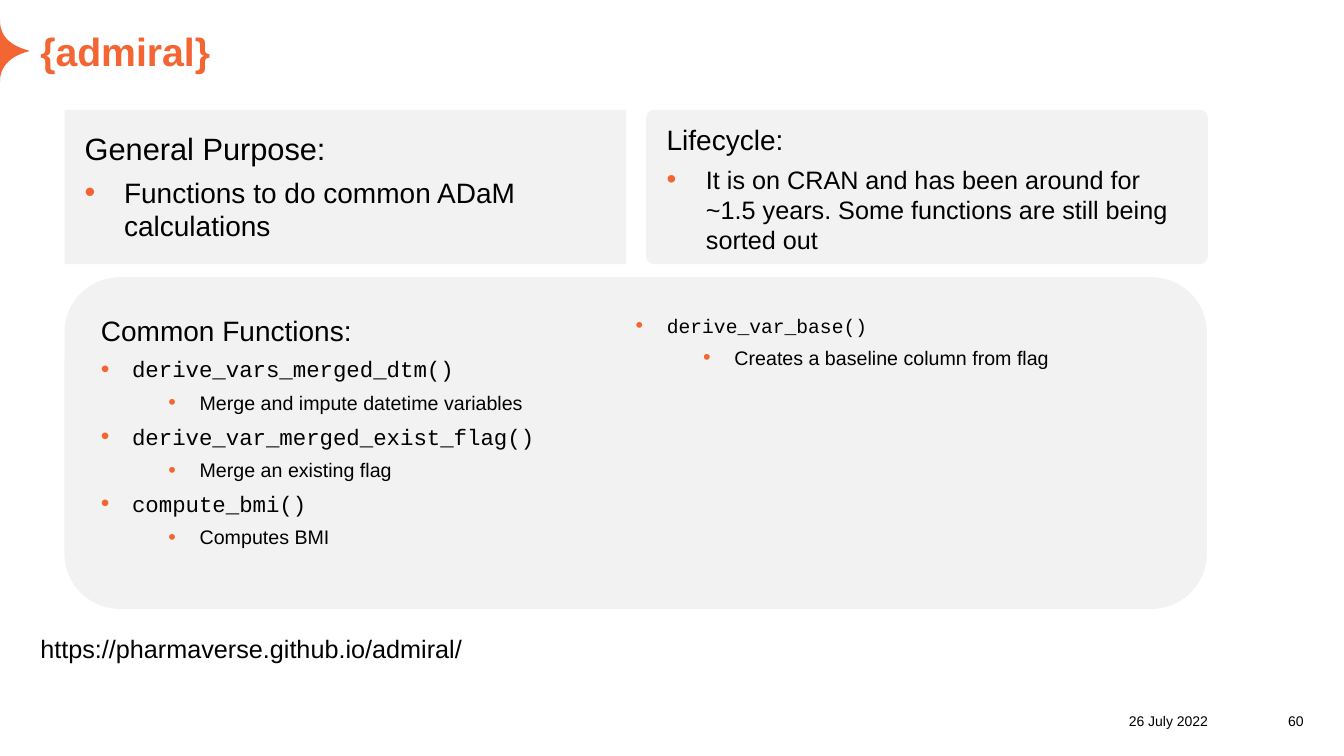
from dataclasses import dataclass

from lxml import etree
from pptx import Presentation
from pptx import util as u
from pptx.dml.color import RGBColor
from pptx.enum import shapes, text
from pptx.oxml import ns

ORANGE = RGBColor(0xF3, 0x66, 0x33)
PANEL_GREY = RGBColor(0xF2, 0xF2, 0xF2)
BLACK = RGBColor(0, 0, 0)
SANS, MONO = "Arial", "Courier New"
LEFT, RIGHT = text.PP_ALIGN.LEFT, text.PP_ALIGN.RIGHT
TOP, BOTTOM = text.MSO_ANCHOR.TOP, text.MSO_ANCHOR.BOTTOM
RECT, ROUND = shapes.MSO_SHAPE.RECTANGLE, shapes.MSO_SHAPE.ROUNDED_RECTANGLE

Box = tuple[float, float, float, float]
Point = tuple[float, float]


@dataclass
class Para:
    text: str
    size: float
    font: str = SANS
    color: RGBColor = BLACK
    bold: bool = False
    align: text.PP_ALIGN = LEFT
    indent: float = 0  # left edge of bulleted text
    hang: float = 0  # room for the bullet
    level: int = 0


@dataclass
class Label:
    box: Box
    para: Para
    pad: float = 0  # top and bottom inset


@dataclass
class Panel:
    box: Box
    shape: shapes.MSO_SHAPE
    insets: Box
    paras: list[Para]
    radius: float | None = None
    columns: int = 1


def code(name: str, size: float = 16) -> Para:
    return Para(name, size, MONO, indent=0.31, hang=0.31)


def detail(words: str) -> Para:
    return Para(words, 14, indent=0.98, hang=0.31, level=1)


LABELS = [
    Label((0.4, 0.27, 12.53, 0.47), Para("{admiral}", 28, color=ORANGE, bold=True)),
    Label((0.4, 6.33, 12.53, 0.33), Para("https://pharmaverse.github.io/admiral/", 18), 0.08),
    Label((8.94, 6.94, 3.04, 0.3), Para("26 July 2022", 10, align=RIGHT)),
    Label((12.34, 6.94, 0.59, 0.3), Para("60", 10, align=RIGHT)),
]

PANELS = [
    Panel((0.64, 1.09, 5.57, 1.53), RECT, (0.2, 0.2, 0.2, 0.2), [
        Para("General Purpose:", 22),
        Para("Functions to do common ADaM calculations", 20, indent=0.39, hang=0.39),
    ]),
    Panel((6.41, 1.09, 5.57, 1.53), ROUND, (0.18, 0.1, 0.18, 0.18), [
        Para("Lifecycle:", 20),
        Para("It is on CRAN and has been around for ~1.5 years. "
             "Some functions are still being sorted out", 18, indent=0.39, hang=0.39),
    ], radius=0.05),
    # The bottom inset makes the last function start the second column
    Panel((0.64, 2.75, 11.33, 3.29), ROUND, (0.2, 0.2, 0.2, 0.3), [
        Para("Common Functions:", 20),
        code("derive_vars_merged_dtm()"),
        detail("Merge and impute datetime variables"),
        code("derive_var_merged_exist_flag()"),
        detail("Merge an existing flag"),
        code("compute_bmi()"),
        detail("Computes BMI"),
        code("derive_var_base()", 14),
        detail("Creates a baseline column from flag"),
    ], columns=2),
]


def add_bullet(p, item: Para) -> None:
    pPr = p._p.get_or_add_pPr()
    pPr.set("marL", str(u.Inches(item.indent)))
    pPr.set("indent", str(-u.Inches(item.hang)))
    color = etree.SubElement(pPr, ns.qn("a:buClr"))
    etree.SubElement(color, ns.qn("a:srgbClr"), val=str(ORANGE))
    etree.SubElement(pPr, ns.qn("a:buSzPct"), val="110000")
    etree.SubElement(pPr, ns.qn("a:buFont"), typeface=SANS)
    etree.SubElement(pPr, ns.qn("a:buChar"), char="•")


def write(tf, paras: list[Para], insets: Box, anchor, gap: float = 0) -> None:
    sides = ("margin_left", "margin_top", "margin_right", "margin_bottom")
    frame = {"word_wrap": True, "vertical_anchor": anchor}
    frame |= {side: u.Inches(v) for side, v in zip(sides, insets)}
    for name, value in frame.items():
        setattr(tf, name, value)
    for i, item in enumerate(paras):
        p = tf.add_paragraph() if i else tf.paragraphs[0]
        layout = {"alignment": item.align, "level": item.level,
                  "space_before": u.Pt(gap if i else 0), "space_after": u.Pt(gap)}
        for name, value in layout.items():
            setattr(p, name, value)
        if item.hang:
            add_bullet(p, item)
        r = p.add_run()
        r.text = item.text
        r.font.color.rgb = item.color
        for name, value in {"name": item.font, "size": u.Pt(item.size),
                            "bold": item.bold}.items():
            setattr(r.font, name, value)


def paint(sp, color: RGBColor) -> None:
    sp.shadow.inherit = False
    sp.fill.solid()
    sp.fill.fore_color.rgb = color
    sp.line.fill.background()


def draw_label(s, label: Label) -> None:
    sp = s.shapes.add_textbox(*map(u.Inches, label.box))
    write(sp.text_frame, [label.para], (0, label.pad, 0, label.pad), BOTTOM)


def draw_panel(s, panel: Panel) -> None:
    sp = s.shapes.add_shape(panel.shape, *map(u.Inches, panel.box))
    paint(sp, PANEL_GREY)
    if panel.radius is not None:
        sp.adjustments[0] = panel.radius
    write(sp.text_frame, panel.paras, panel.insets, TOP, gap=3)
    if panel.columns > 1:
        sp.text_frame._txBody.bodyPr.set("numCol", str(panel.columns))


def curve(a: Point, b: Point, c: Point, d: Point, steps: int = 16) -> list[Point]:
    """Points along a cubic curve from a to d."""
    times = [i / steps for i in range(steps + 1)]
    return [tuple((1 - t) ** 3 * k + 3 * (1 - t) ** 2 * t * m
                  + 3 * (1 - t) * t ** 2 * n + t ** 3 * q
                  for k, m, n, q in zip(a, b, c, d)) for t in times]


def draw_star_edge(s) -> None:
    upper = curve((0, 0.2), (0, 0.36), (0.1, 0.45), (0.28, 0.5))
    lower = curve((0.28, 0.51), (0.1, 0.56), (0, 0.66), (0, 0.81))
    outline = upper + [(0.29, 0.505)] + lower
    start, *rest = [(u.Inches(x), u.Inches(y)) for x, y in outline]
    builder = s.shapes.build_freeform(*start)
    builder.add_line_segments(rest, close=True)
    paint(builder.convert_to_shape(), ORANGE)


def main() -> None:
    prs = Presentation()
    prs.slide_width, prs.slide_height = u.Inches(13.33), u.Inches(7.5)
    s = prs.slides.add_slide(prs.slide_layouts[6])
    # Decoration, grey panels, then the loose text
    draw_star_edge(s)
    for panel in PANELS:
        draw_panel(s, panel)
    for label in LABELS:
        draw_label(s, label)
    prs.save("out.pptx")


if __name__ == "__main__":
    main()
